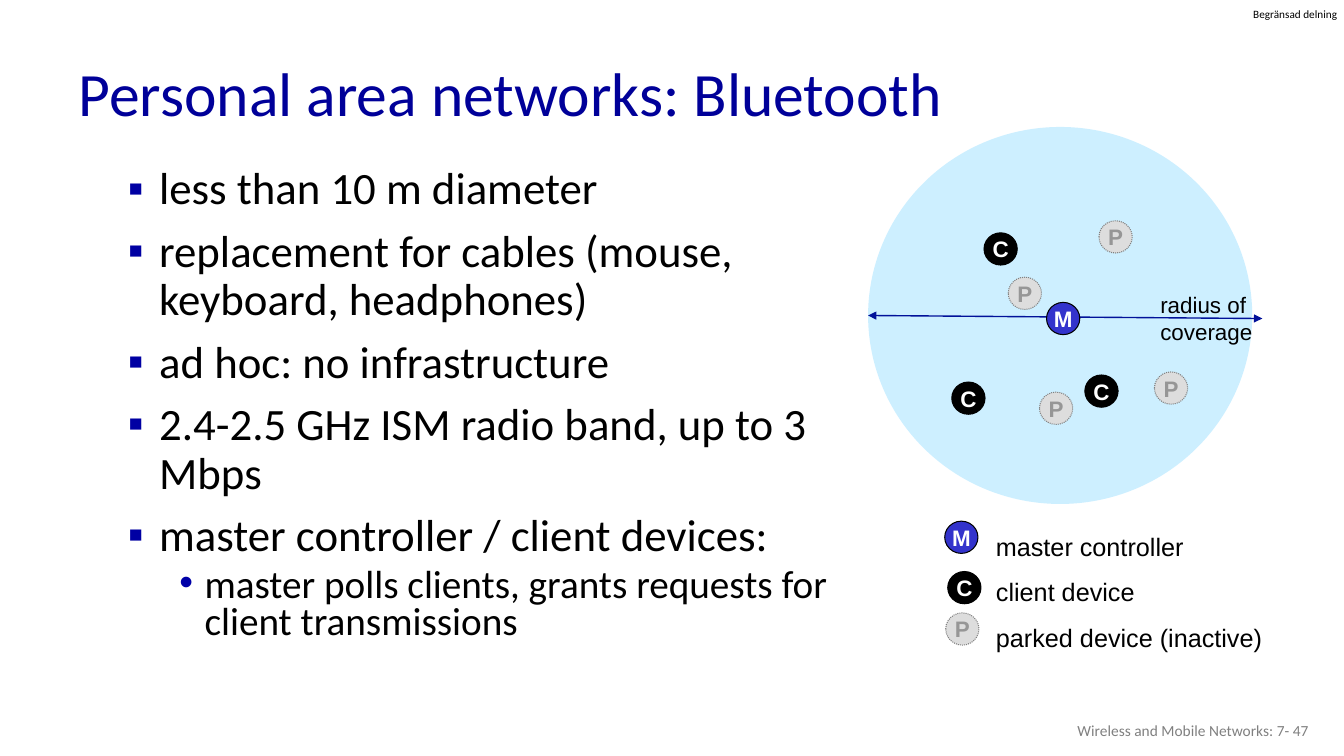
import pptx
import pptx.util
import pptx.oxml
import pptx.oxml.ns
import pptx.dml.color
import pptx.enum.dml
import pptx.enum.shapes
import pptx.enum.text
import lxml.etree

Inches = pptx.util.Inches
Pt = pptx.util.Pt
RGBColor = pptx.dml.color.RGBColor
Anchor = pptx.enum.text.MSO_ANCHOR
Align = pptx.enum.text.PP_ALIGN
qn = pptx.oxml.ns.qn

BLACK = RGBColor(0x00, 0x00, 0x00)
WHITE = RGBColor(0xFF, 0xFF, 0xFF)
TITLE_BLUE = RGBColor(0x00, 0x00, 0x99)
SQUARE_BLUE = RGBColor(0x00, 0x00, 0xA3)
DOT_BLUE = RGBColor(0x00, 0x00, 0xA8)
RADIUS_BLUE = RGBColor(0x01, 0x11, 0x99)
MASTER_BLUE = RGBColor(0x33, 0x33, 0xCC)
COVERAGE_BLUE = RGBColor(0x9A, 0xE0, 0xFF)
PARKED_FILL = RGBColor(0xDD, 0xDD, 0xDD)
PARKED_TEXT = RGBColor(0x96, 0x96, 0x96)
GREY = RGBColor(0x80, 0x80, 0x80)

DEVICE_STYLES = {
    "M": (MASTER_BLUE, BLACK, WHITE),
    "C": (BLACK, BLACK, WHITE),
    "P": (PARKED_FILL, GREY, PARKED_TEXT),
}
NETWORK_DEVICES = [
    ("C", 9.76, 2.31), ("C", 10.76, 3.72), ("C", 9.44, 3.79),
    ("P", 10.9, 2.19), ("P", 10.31, 3.89), ("P", 10, 2.75), ("P", 11.45, 3.69),
    ("M", 10.38, 3),
]
LEGEND_DEVICES = [("M", 9.37, 5.17), ("C", 9.4, 5.67), ("P", 9.38, 6.08)]
FACTS = [
    (0, "less than 10 m diameter"),
    (0, "replacement for cables (mouse, keyboard, headphones)"),
    (0, "ad hoc: no infrastructure"),
    (0, "2.4-2.5 GHz ISM radio band, up to 3 Mbps"),
    (0, "master controller / client devices:"),
    (1, "master polls clients, grants requests for client transmissions"),
]
BULLET_STYLES = [
    ("▪", SQUARE_BLUE, 0.31, -0.31, 0.9, 10, 32),
    ("•", DOT_BLUE, 0.76, -0.25, 0.8, 5, 28),
]


def set_font(paragraph, size, name, color, bold=False):
    for run in paragraph.runs:
        run.font.size = Pt(size)
        run.font.name = name
        run.font.color.rgb = color
        run.font.bold = bold


def add_label(slide, box, text, size, name, color, wrap=True, spacing=None):
    label = slide.shapes.add_textbox(*map(Inches, box))
    frame = label.text_frame
    frame.word_wrap = wrap
    frame.text = text
    for paragraph in frame.paragraphs:
        paragraph.line_spacing = spacing
        set_font(paragraph, size, name, color)
    return frame


def set_bullet(paragraph, mark, color, margin, indent):
    properties = paragraph._p.get_or_add_pPr()
    properties.set("marL", str(Inches(margin)))
    properties.set("indent", str(Inches(indent)))
    bullet_color = lxml.etree.SubElement(properties, qn("a:buClr"))
    lxml.etree.SubElement(bullet_color, qn("a:srgbClr"), val=str(color))
    lxml.etree.SubElement(properties, qn("a:buFont"), typeface="Arial")
    lxml.etree.SubElement(properties, qn("a:buChar"), char=mark)


def add_title(slide):
    title = slide.shapes.title
    title.left, title.top, title.width, title.height = map(Inches, (0.68, 0.47, 11.5, 0.98))
    frame = title.text_frame
    frame.text = "Personal area networks: Bluetooth"
    frame.vertical_anchor = Anchor.MIDDLE
    heading = frame.paragraphs[0]
    heading.alignment = Align.LEFT
    heading.line_spacing = 0.9
    set_font(heading, 44, "Calibri", TITLE_BLUE)


def add_facts(slide):
    frame = slide.shapes.add_textbox(*map(Inches, (1.17, 1.6, 7.51, 5.53))).text_frame
    frame.word_wrap = True
    frame.text = "\n".join(text for _, text in FACTS)
    for position, (level, _) in enumerate(FACTS):
        mark, color, margin, indent, spacing, before, size = BULLET_STYLES[level]
        fact = frame.paragraphs[position]
        set_bullet(fact, mark, color, margin, indent)
        fact.level = level
        fact.line_spacing = spacing
        fact.space_before = Pt(before if position else 0)
        set_font(fact, size, "Calibri", BLACK)


def add_circle(slide, box, fill):
    circle = slide.shapes.add_shape(pptx.enum.shapes.MSO_SHAPE.OVAL, *map(Inches, box))
    circle.shadow.inherit = False
    circle.fill.solid()
    circle.fill.fore_color.rgb = fill
    return circle


def add_coverage(slide):
    coverage = add_circle(slide, (8.61, 1.26, 3.81, 3.74), COVERAGE_BLUE)
    coverage.line.fill.background()
    fill_color = coverage._element.spPr.find(".//" + qn("a:srgbClr"))
    lxml.etree.SubElement(fill_color, qn("a:alpha"), val="49000")


def add_radius(slide):
    radius = slide.shapes.add_connector(
        pptx.enum.shapes.MSO_CONNECTOR.STRAIGHT, *map(Inches, (8.61, 3.13, 12.52, 3.16)))
    radius.line.color.rgb = RADIUS_BLUE
    radius.line.width = Pt(1)
    outline = radius.line._get_or_add_ln()
    for end in ("a:headEnd", "a:tailEnd"):
        lxml.etree.SubElement(outline, qn(end), type="triangle")
    lxml.etree.SubElement(radius._element.spPr, qn("a:effectLst"))


def add_device(slide, letter, left, top):
    fill, outline, color = DEVICE_STYLES[letter]
    device = add_circle(slide, (left, top, 0.33, 0.32), fill)
    device.line.color.rgb = outline
    device.line.width = Pt(0.75)
    if letter == "P":
        device.line.dash_style = pptx.enum.dml.MSO_LINE.ROUND_DOT
    frame = device.text_frame
    frame.margin_left = frame.margin_right = frame.margin_top = frame.margin_bottom = 0
    frame.word_wrap = False
    frame.vertical_anchor = Anchor.MIDDLE
    frame.text = letter
    frame.paragraphs[0].alignment = Align.CENTER
    set_font(frame.paragraphs[0], 16, "Arial", color, bold=True)


def main():
    deck = pptx.Presentation()
    deck.slide_width, deck.slide_height = Inches(13.33), Inches(7.5)
    slide = deck.slides.add_slide(deck.slide_layouts.get_by_name("Title Only"))

    add_title(slide)
    marking = add_label(slide, (12.43, 0.07, 0.86, 0.13), "Begränsad delning",
                        8, "Calibri", BLACK, wrap=False)
    marking.margin_left = marking.margin_right = marking.margin_top = marking.margin_bottom = 0
    footer = add_label(slide, (10.08, 7.05, 3, 0.4), "Wireless and Mobile Networks: 7- 47",
                       11, "Calibri", GREY)
    footer.vertical_anchor = Anchor.MIDDLE
    footer.paragraphs[0].alignment = Align.RIGHT
    add_facts(slide)

    add_coverage(slide)
    add_label(slide, (11.41, 2.84, 1.11, 0.64), "radius of\ncoverage",
              16, "Arial", BLACK, wrap=False)
    add_radius(slide)
    add_label(slide, (9.78, 5.07, 2.87, 1.45),
              "master controller\nclient device\nparked device (inactive)",
              18, "Arial", BLACK, wrap=False, spacing=1.5)
    for device in NETWORK_DEVICES + LEGEND_DEVICES:
        add_device(slide, *device)

    deck.save("out.pptx")


if __name__ == "__main__":
    main()
